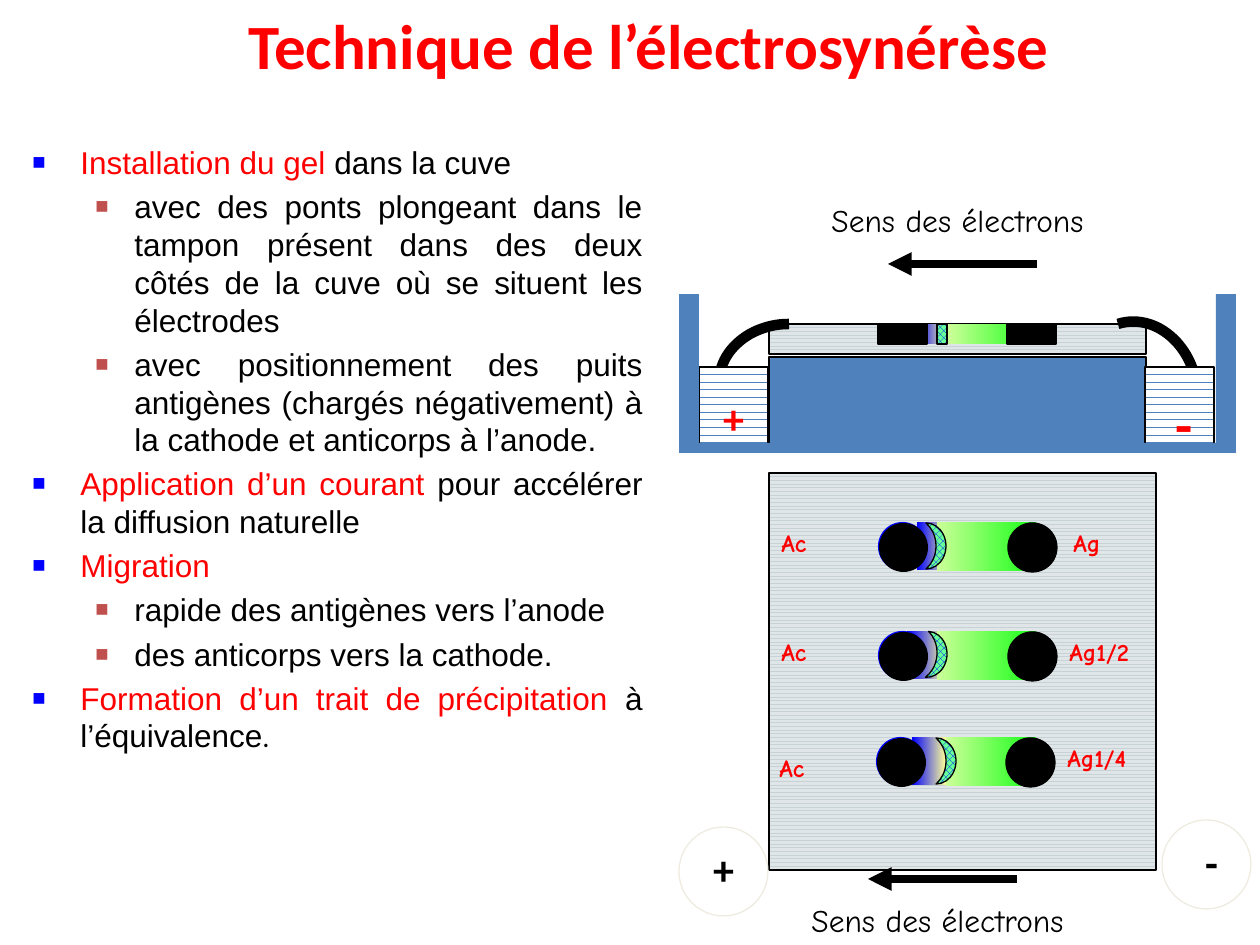
from lxml import etree
from pptx import Presentation
from pptx.dml.color import RGBColor
from pptx.enum.dml import MSO_PATTERN as Pattern
from pptx.enum.shapes import MSO_CONNECTOR as Connector, MSO_SHAPE as Shape
from pptx.enum.text import MSO_AUTO_SIZE as AutoSize, PP_ALIGN as Align
from pptx.oxml.ns import qn
from pptx.util import Emu, Pt

COLORS = {
    "red": "FF0000", "black": "000000", "white": "FFFFFF", "blue": "0000FF",
    "brick": "C0504D", "basin": "4F81BD", "ivory": "EEECE1",
    "gel line": "C6D2D6", "gel": "E0E6E8", "mint": "66FF99",
    "cream": "FFFF99", "lime": "CCFF99", "green": "17FF17",
}
GEL = (Pattern.ZIG_ZAG, "gel line", "gel")
BUFFER = (Pattern.DASHED_HORIZONTAL, "basin", "white")
PRECIPITATE = (Pattern.LARGE_CHECKER_BOARD, "blue", "mint")
ANTIBODY = ("blue", "cream")
ANTIGEN = ("lime", "green")


def px(length):
    return Emu(round(length * 914400 / 126))


def rgb(name):
    return RGBColor.from_string(COLORS[name])


class SlideBuilder:
    def __init__(self, slide):
        self.slide = slide

    def paint(self, fill, paint):
        """None, a colour, a (start, end) gradient or a (pattern, front, back)."""
        if paint is None:
            fill.background()
        elif isinstance(paint, str):
            fill.solid()
            fill.fore_color.rgb = rgb(paint)
        elif len(paint) == 2:
            fill.gradient()
            fill.gradient_angle = 0
            for stop, color in zip(fill.gradient_stops, paint):
                stop.color.rgb = rgb(color)
        else:
            fill.patterned()
            fill.pattern, front, back = paint
            fill.fore_color.rgb, fill.back_color.rgb = rgb(front), rgb(back)

    def outline(self, shape, color, width=0.75):
        self.paint(shape.line.fill, color)
        if color:
            shape.line.width = Pt(width)

    def shape(self, kind, left, top, width, height, fill=None, line=None, rotation=0):
        shape = self.slide.shapes.add_shape(kind, px(left), px(top), px(width), px(height))
        shape.shadow.inherit = False
        shape.rotation = rotation
        self.paint(shape.fill, fill)
        self.outline(shape, line)
        return shape

    def rect(self, *box, **style):
        return self.shape(Shape.RECTANGLE, *box, **style)

    def circle(self, left, top, size, **style):
        return self.shape(Shape.OVAL, left, top, size, size, **style)

    def curve(self, start, control1, control2, end, steps=24):
        points = []
        for step in range(steps + 1):
            t = step / steps
            weights = ((1 - t) ** 3, 3 * t * (1 - t) ** 2, 3 * t * t * (1 - t), t ** 3)
            corners = (start, control1, control2, end)
            points.append(tuple(
                px(sum(w * c[axis] for w, c in zip(weights, corners))) for axis in (0, 1)))
        builder = self.slide.shapes.build_freeform(*points[0])
        builder.add_line_segments(points[1:], close=False)
        shape = builder.convert_to_shape()
        shape.shadow.inherit = False
        shape.fill.background()
        self.outline(shape, "black", 6)

    def arrow(self, start, end, y):
        arrow = self.slide.shapes.add_connector(
            Connector.STRAIGHT, px(start), px(y), px(end), px(y))
        self.outline(arrow, "black", 4.5)
        etree.SubElement(arrow.line._get_or_add_ln(), qn("a:tailEnd"), type="triangle")
        etree.SubElement(arrow._element.spPr, qn("a:effectLst"))

    def style_run(self, run, size, color, font, bold=False):
        run.font.size, run.font.name, run.font.bold = Pt(size), font, bold
        run.font.color.rgb = rgb(color)

    def text(self, text, left, top, width, height, size, color="black",
             font="Calibri", bold=True, align=Align.LEFT, wrap=True):
        box = self.slide.shapes.add_textbox(px(left), px(top), px(width), px(height))
        frame = box.text_frame
        frame.text = text
        frame.word_wrap = wrap
        frame.auto_size = AutoSize.SHAPE_TO_FIT_TEXT
        paragraph = frame.paragraphs[0]
        paragraph.alignment = align
        self.style_run(paragraph.runs[0], size, color, font, bold)

    def sign(self, text, left, top, size=24, color="black"):
        self.text(text, left, top, 69, 63, size, color, align=Align.CENTER)

    def label(self, text, left, top, width=69):
        self.text(text, left, top, width, 42, 14, "red", "Comic Neue")

    def bullets(self, items, left, top, width, height):
        box = self.slide.shapes.add_textbox(px(left), px(top), px(width), px(height))
        frame = box.text_frame
        frame.word_wrap = True
        for index, (level, runs) in enumerate(items):
            paragraph = frame.add_paragraph() if index else frame.paragraphs[0]
            paragraph.level = level
            paragraph.alignment = Align.JUSTIFY
            paragraph.space_before = Pt(3.6)
            for text, color, font in runs:
                run = paragraph.add_run()
                run.text = text
                self.style_run(run, 18, color, font)
            margin, hanging, color = ((48, 48, "blue"), (102, 39, "brick"))[level]
            properties = paragraph._p.get_or_add_pPr()
            properties.set("marL", str(px(margin)))
            properties.set("indent", str(-px(hanging)))
            bullet_color = etree.SubElement(properties, qn("a:buClr"))
            etree.SubElement(bullet_color, qn("a:srgbClr"), val=COLORS[color])
            etree.SubElement(properties, qn("a:buSzPct"), val="70000")
            etree.SubElement(properties, qn("a:buFont"), typeface="Arial")
            etree.SubElement(properties, qn("a:buChar"), char="■")


def key(text):
    return text, "red", "Arial"


def plain(text, font="Arial"):
    return text, "black", font


STEPS = [
    (0, [key("Installation du gel "), plain("dans la cuve")]),
    (1, [plain("avec des ponts plongeant dans le tampon présent dans des deux "
               "côtés de la cuve où se situent les électrodes")]),
    (1, [plain("avec positionnement des puits antigènes (chargés négativement) "
               "à la cathode et anticorps à l’anode.")]),
    (0, [key("Application d’un courant "), plain("pour accélérer la diffusion naturelle")]),
    (0, [key("Migration")]),
    (1, [plain("rapide des antigènes vers l’anode")]),
    (1, [plain("des anticorps vers la cathode.")]),
    (0, [key("Formation d’un trait de précipitation "), plain("à l’équivalence"),
         plain(".", "Montserrat")]),
]

# top, well left, antibody (left, width), antigen left, arc (left, rotation),
# antigen label (text, left, width), antibody label (left, top)
LANES = [
    (522, 878, (917, 34), 937, (926, 180), ("Ag", 1061, 69), (769, 522)),
    (631, 878, (907, 40), 937, (927, 184), ("Ag1/2", 1057, 110), (769, 631)),
    (737, 876, (912, 34), 946, (936, 180), ("Ag1/4", 1055, 110), (767, 747)),
]


def main():
    presentation = Presentation()
    presentation.slide_width, presentation.slide_height = px(1260), px(945)
    builder = SlideBuilder(presentation.slides.add_slide(presentation.slide_layouts[6]))

    # Title and steps
    builder.text("Technique de l’électrosynérèse", 217, 0, 863, 89, 36, "red",
                 align=Align.CENTER, wrap=False)
    builder.bullets(STEPS, 20, 137, 635, 704)

    # Gel from above and from the side
    builder.rect(764, 478, 397, 387, fill=GEL, line="black", rotation=270)
    builder.rect(769, 324, 377, 30, fill=GEL, line="black")

    # Electrodes beside the gel
    for text, left, top, sign_left, sign_top in (
            ("+", 679, 827, 689, 837), ("-", 1162, 820, 1177, 830)):
        builder.sign(text, sign_left, sign_top)
        builder.circle(left, top, 89, line="ivory")

    # Bridges
    builder.curve((789, 324), (751, 324), (719, 350), (719, 383))
    builder.curve((1194, 373), (1183, 336), (1149, 314), (1118, 324))

    # Direction of the electrons
    for left, top, arrow_start, arrow_y in ((819, 195, 1037, 264), (799, 895, 1017, 879)):
        builder.text("Sens des électrons", left, top, 307, 50, 18,
                     font="Comic Neue", bold=False)
        builder.arrow(arrow_start, arrow_start - 149, arrow_y)

    # Lanes of the gel
    for top, well, antibody, antigen, arc, antigen_label, antibody_label in LANES:
        builder.rect(antibody[0], top, antibody[1], 48, fill=ANTIBODY)
        builder.circle(well, top, 49, fill="blue")
        builder.rect(antigen, top, 1036 - antigen, 49, fill=ANTIGEN)
        builder.shape(Shape.MOON, arc[0], top + 1, 20, 46, fill=PRECIPITATE,
                      line="black", rotation=arc[1])
        builder.circle(well + 1, top + 1, 49, fill="black")
        builder.circle(well + 130, top + 1, 49, fill="black", line="black")
        text, left, width = antigen_label
        builder.label(text, left, top, width)
        builder.label("Ac", *antibody_label)

    # Tank with its buffer
    builder.rect(769, 357, 377, 89, fill="basin", line="black")
    for left in (699, 1145):
        builder.rect(left, 367, 69, 79, fill=BUFFER, line="black")
    builder.sign("+", 699, 386, color="red")
    builder.sign("-", 1150, 383, size=32, color="red")
    for left in (679, 1216):
        builder.rect(left, 294, 20, 159, fill="basin")
    builder.rect(680, 443, 556, 10, fill="basin")

    # Wells and diffusion in the side view
    builder.rect(948, 324, 89, 20, fill=ANTIGEN)
    builder.rect(917, 324, 30, 20, fill=ANTIBODY)
    builder.rect(937, 324, 10, 20, fill=PRECIPITATE, line="black")
    for left in (878, 1007):
        builder.rect(left, 324, 49, 20, fill="black", line="black")

    presentation.save("out.pptx")


if __name__ == "__main__":
    main()
